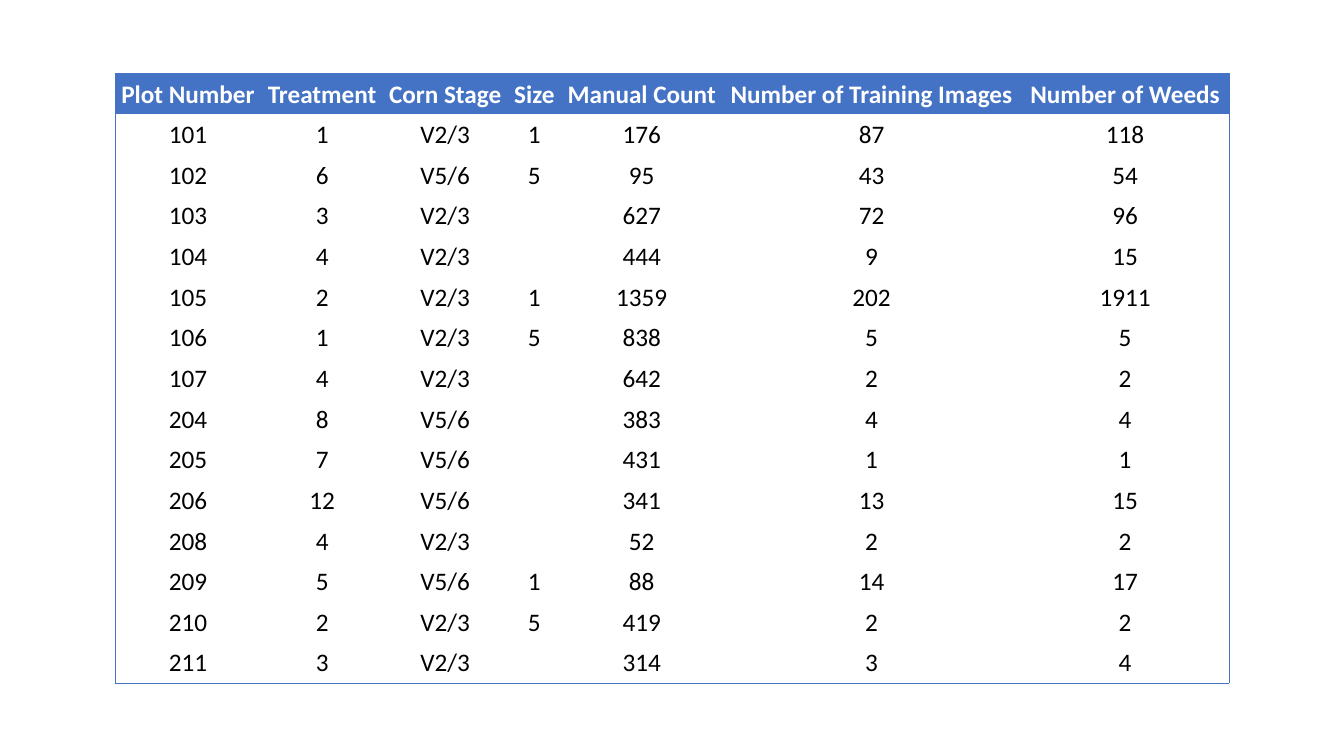
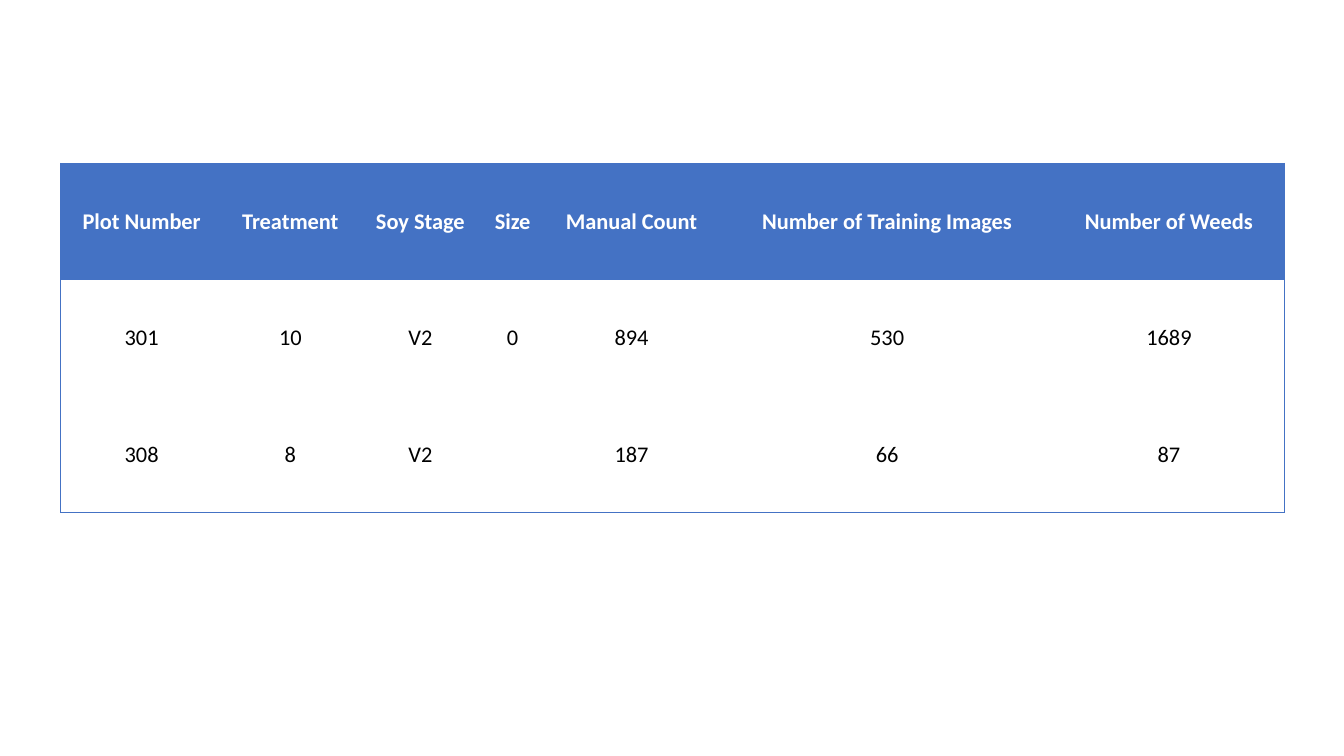
from dataclasses import dataclass

from lxml.etree import SubElement
from pptx import Presentation
from pptx.dml.color import RGBColor
from pptx.enum.text import MSO_ANCHOR, PP_ALIGN
from pptx.oxml.ns import qn
from pptx.presentation import Presentation as Deck
from pptx.table import _Cell
from pptx.util import Inches, Pt

BLUE = RGBColor(0x44, 0x72, 0xC4)
WHITE = RGBColor(0xFF, 0xFF, 0xFF)
BLACK = RGBColor(0x00, 0x00, 0x00)
FONT = "Calibri"
BORDER_WIDTH = Pt(0.5)
NO_GRID_STYLE = "{2D5ABB26-0587-4C30-8999-92F81FD0307C}"


@dataclass(frozen=True)
class PlotTable:
    crop: str
    left: float
    top: float
    row_height: float
    font_size: int
    column_widths: tuple[float, ...]
    records: tuple[tuple[str, ...], ...]

    @property
    def rows(self) -> list[tuple[str, ...]]:
        header = (
            "Plot Number",
            "Treatment",
            f"{self.crop} Stage",
            "Size",
            "Manual Count",
            "Number of Training Images",
            "Number of Weeds",
        )
        return [header, *self.records]


CORN = PlotTable(
    crop="Corn",
    left=1.14,
    top=0.73,
    row_height=6.05 / 15,
    font_size=18,
    column_widths=(1.45, 1.21, 1.23, 0.54, 1.59, 2.97, 2.06),
    records=(
        ("101", "1", "V2/3", "1", "176", "87", "118"),
        ("102", "6", "V5/6", "5", "95", "43", "54"),
        ("103", "3", "V2/3", "", "627", "72", "96"),
        ("104", "4", "V2/3", "", "444", "9", "15"),
        ("105", "2", "V2/3", "1", "1359", "202", "1911"),
        ("106", "1", "V2/3", "5", "838", "5", "5"),
        ("107", "4", "V2/3", "", "642", "2", "2"),
        ("204", "8", "V5/6", "", "383", "4", "4"),
        ("205", "7", "V5/6", "", "431", "1", "1"),
        ("206", "12", "V5/6", "", "341", "13", "15"),
        ("208", "4", "V2/3", "", "52", "2", "2"),
        ("209", "5", "V5/6", "1", "88", "14", "17"),
        ("210", "2", "V2/3", "5", "419", "2", "2"),
        ("211", "3", "V2/3", "", "314", "3", "4"),
    ),
)

SOY = PlotTable(
    crop="Soy",
    left=0.6,
    top=1.62,
    row_height=3.46 / 3,
    font_size=16,
    column_widths=(1.61, 1.34, 1.24, 0.59, 1.77, 3.3, 2.29),
    records=(
        ("301", "10", "V2", "0", "894", "530", "1689"),
        ("308", "8", "V2", "", "187", "66", "87"),
    ),
)


def set_borders(cell: _Cell, outer_edges: dict[str, bool]) -> None:
    properties = cell._tc.get_or_add_tcPr()
    for edge, is_outer in outer_edges.items():
        line = SubElement(properties, qn(f"a:{edge}"), w=str(BORDER_WIDTH))
        if is_outer:
            fill = SubElement(line, qn("a:solidFill"))
            SubElement(fill, qn("a:srgbClr"), val=str(BLUE))
        else:
            SubElement(line, qn("a:noFill"))


def write_cell(cell: _Cell, text: str, font_size: int, is_header: bool) -> None:
    cell.margin_left = cell.margin_right = cell.margin_top = Inches(0.01)
    cell.margin_bottom = 0
    cell.vertical_anchor = MSO_ANCHOR.MIDDLE
    if is_header:
        cell.fill.solid()
        cell.fill.fore_color.rgb = BLUE
    else:
        cell.fill.background()
    cell.text = text
    paragraph = cell.text_frame.paragraphs[0]
    paragraph.alignment = PP_ALIGN.CENTER
    font = paragraph.font
    font.name = FONT
    font.size = Pt(font_size)
    font.bold = is_header
    font.color.rgb = WHITE if is_header else BLACK


def add_plot_slide(presentation: Deck, plots: PlotTable) -> None:
    slide = presentation.slides.add_slide(presentation.slide_layouts[6])
    rows = plots.rows
    last_row, last_column = len(rows) - 1, len(plots.column_widths) - 1
    frame = slide.shapes.add_table(
        len(rows),
        len(plots.column_widths),
        Inches(plots.left),
        Inches(plots.top),
        Inches(sum(plots.column_widths)),
        Inches(plots.row_height * len(rows)),
    )
    table = frame.table
    table.horz_banding = False
    table._tbl.tblPr.find(qn("a:tableStyleId")).text = NO_GRID_STYLE
    for column, width in zip(table.columns, plots.column_widths):
        column.width = Inches(width)
    for row_index, values in enumerate(rows):
        table.rows[row_index].height = Inches(plots.row_height)
        for column_index, text in enumerate(values):
            cell = table.cell(row_index, column_index)
            set_borders(
                cell,
                {
                    "lnL": column_index == 0,
                    "lnR": column_index == last_column,
                    "lnT": row_index == 0,
                    "lnB": row_index == last_row,
                },
            )
            write_cell(cell, text, plots.font_size, row_index == 0)


def main() -> None:
    presentation = Presentation()
    presentation.slide_width = Inches(13.33)
    presentation.slide_height = Inches(7.5)
    for plots in (CORN, SOY):
        add_plot_slide(presentation, plots)
    presentation.save("out.pptx")


if __name__ == "__main__":
    main()
